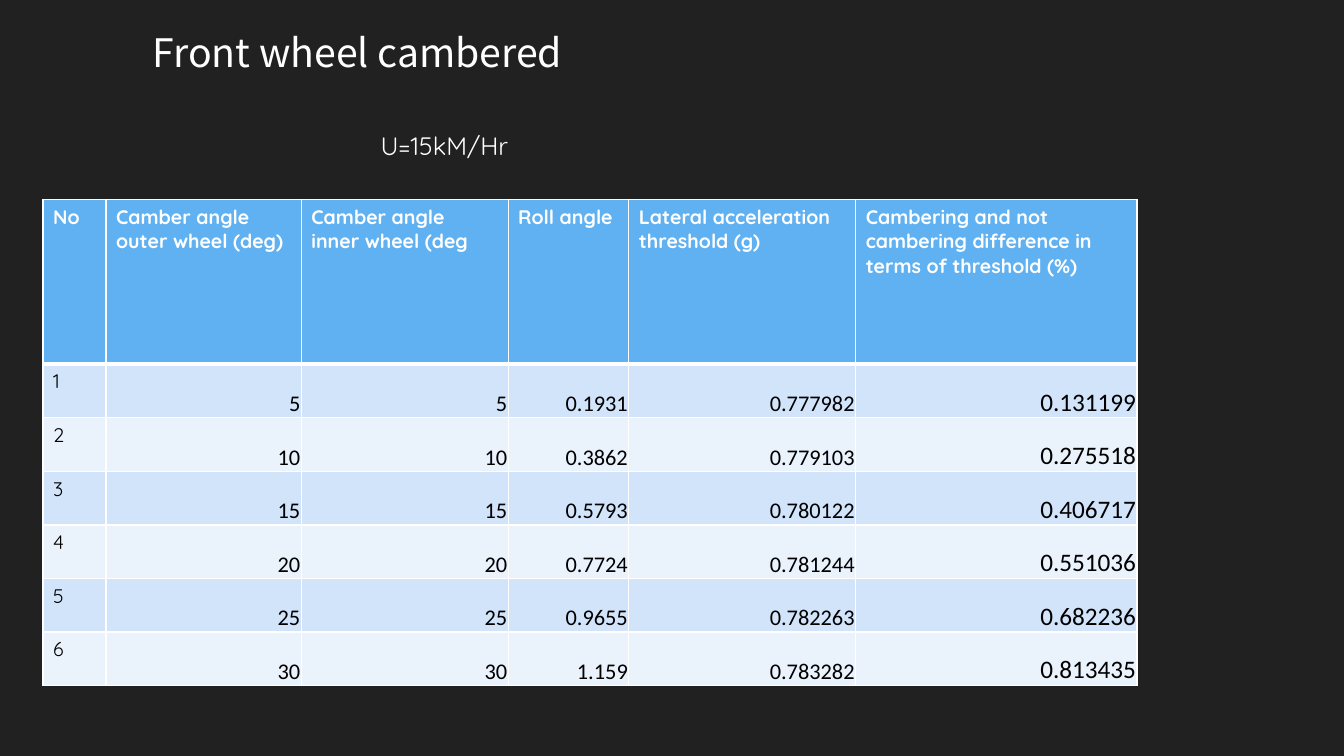
from dataclasses import dataclass

from lxml import etree
from pptx import Presentation
from pptx import util as u
from pptx.dml.color import RGBColor
from pptx.enum import text
from pptx.oxml import ns

TITLE = "Front wheel cambered"
SPEED = "U=15kM/Hr"
HEADINGS = (
    "No",
    "Camber angle outer wheel (deg)",
    "Camber angle inner wheel (deg",
    "Roll angle",
    "Lateral acceleration threshold (g)",
    "Cambering and not cambering difference in terms of threshold (%)",
)
READINGS = (
    ("1", "5", "5", "0.1931", "0.777982", "0.131199"),
    ("2", "10", "10", "0.3862", "0.779103", "0.275518"),
    ("3", "15", "15", "0.5793", "0.780122", "0.406717"),
    ("4", "20", "20", "0.7724", "0.781244", "0.551036"),
    ("5", "25", "25", "0.9655", "0.782263", "0.682236"),
    ("6", "30", "30", "1.159", "0.783282", "0.813435"),
)
COLUMN_WIDTHS = (60, 186, 197, 115, 216, 268)
HEADING_HEIGHT, READING_HEIGHT = 157, 51
TABLE_LEFT, TABLE_TOP = 41, 190


@dataclass(frozen=True)
class Theme:
    background: str = "212121"
    light: str = "FFFFFF"
    dark: str = "000000"
    heading_fill: str = "60B1F2"
    bands: tuple = ("D2E4FA", "EAF2FC")
    title_font: str = "Noto Sans CJK SC"
    label_font: str = "Quicksand"
    number_font: str = "Calibri"
    title_size: int = 28
    speed_size: int = 18
    label_size: int = 14
    number_size: int = 16
    difference_size: int = 18
    thin: int = 1
    thick: int = 3


THEME = Theme()


def px(length):
    return u.Emu(length * 9525)


def write(frame, words, *, font, size, color, bold=False, align=text.PP_ALIGN.LEFT):
    paragraph = frame.paragraphs[0]
    paragraph.alignment = align
    run = paragraph.add_run()
    run.text = words
    run.font.name = font
    run.font.size = u.Pt(size)
    run.font.bold = bold
    run.font.color.rgb = RGBColor.from_string(color)


def add_label(slide, words, box, wrap, **style):
    frame = slide.shapes.add_textbox(*map(px, box)).text_frame
    frame.word_wrap = wrap
    frame.auto_size = text.MSO_AUTO_SIZE.SHAPE_TO_FIT_TEXT
    write(frame, words, **style)


def set_borders(cell, **widths):
    properties = cell._tc.get_or_add_tcPr()
    for side in "LRTB":
        width = u.Pt(widths.get(side, THEME.thin))
        line = etree.SubElement(properties, ns.qn(f"a:ln{side}"), w=str(width))
        fill = etree.SubElement(line, ns.qn("a:solidFill"))
        etree.SubElement(fill, ns.qn("a:srgbClr"), val=THEME.light)


def fill_cell(cell, color):
    cell.fill.solid()
    cell.fill.fore_color.rgb = RGBColor.from_string(color)


def add_readings(slide):
    rows = len(READINGS) + 1
    height = HEADING_HEIGHT + READING_HEIGHT * len(READINGS)
    box = (TABLE_LEFT, TABLE_TOP, sum(COLUMN_WIDTHS), height)
    table = slide.shapes.add_table(rows, len(HEADINGS), *map(px, box)).table
    for column, width in zip(table.columns, COLUMN_WIDTHS):
        column.width = px(width)
    for index, row in enumerate(table.rows):
        row.height = px(READING_HEIGHT if index else HEADING_HEIGHT)

    for column, heading in enumerate(HEADINGS):
        cell = table.cell(0, column)
        set_borders(cell, B=THEME.thick)
        fill_cell(cell, THEME.heading_fill)
        write(cell.text_frame, heading, font=THEME.label_font,
              size=THEME.label_size, color=THEME.light, bold=True)

    last = len(HEADINGS) - 1
    for row, reading in enumerate(READINGS, 1):
        for column, value in enumerate(reading):
            cell = table.cell(row, column)
            set_borders(cell, T=THEME.thick if row == 1 else THEME.thin)
            fill_cell(cell, THEME.bands[(row - 1) % 2])
            if column == 0:
                write(cell.text_frame, value, font=THEME.label_font,
                      size=THEME.label_size, color=THEME.dark)
                continue
            cell.vertical_anchor = text.MSO_ANCHOR.BOTTOM
            cell.margin_left = cell.margin_right = cell.margin_top = px(1)
            cell.margin_bottom = 0
            size = THEME.difference_size if column == last else THEME.number_size
            write(cell.text_frame, value, font=THEME.number_font, size=size,
                  color=THEME.dark, align=text.PP_ALIGN.RIGHT)


def main():
    deck = Presentation()
    deck.slide_width, deck.slide_height = px(1280), px(720)
    slide = deck.slides.add_slide(deck.slide_layouts[6])
    slide.background.fill.solid()
    slide.background.fill.fore_color.rgb = RGBColor.from_string(THEME.background)
    add_readings(slide)
    add_label(slide, TITLE, (136, 22, 429, 55), True, font=THEME.title_font,
              size=THEME.title_size, color=THEME.light)
    add_label(slide, SPEED, (353, 119, 145, 38), False, font=THEME.label_font,
              size=THEME.speed_size, color=THEME.light)
    deck.save("out.pptx")


if __name__ == "__main__":
    main()
